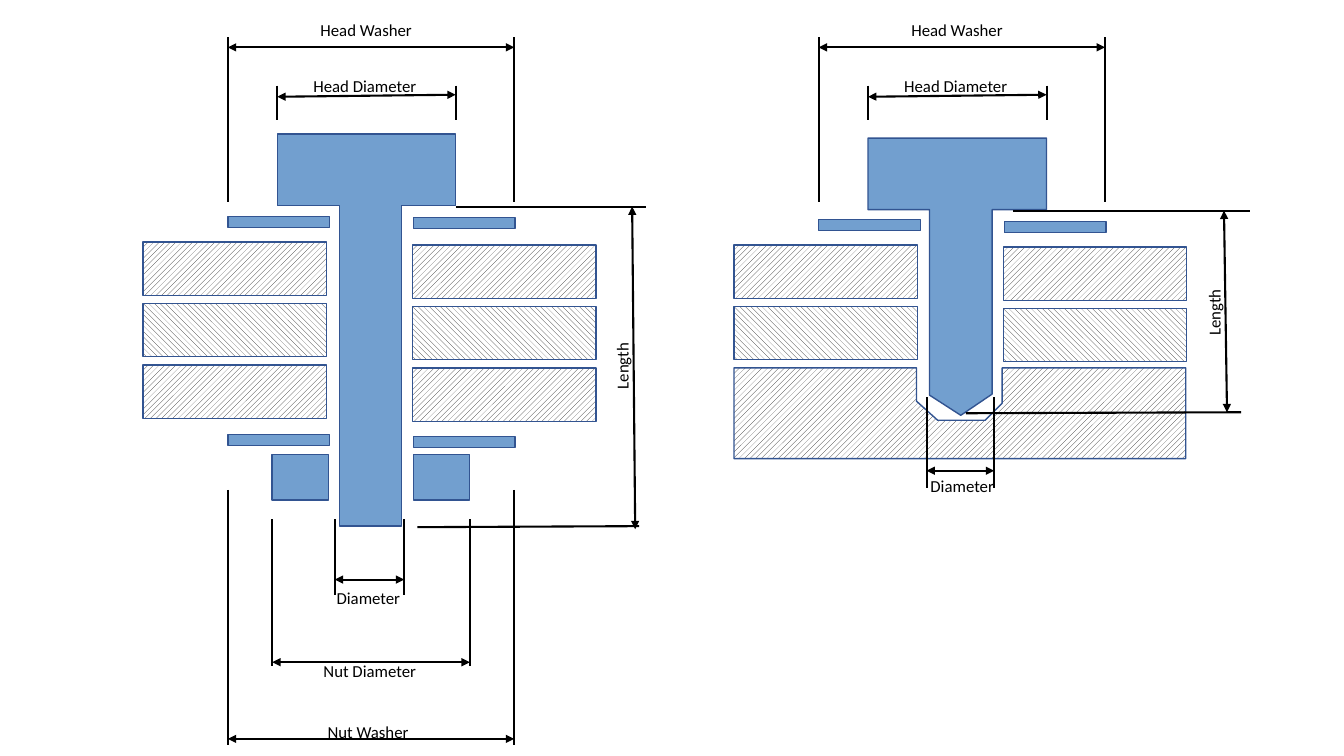
from lxml.etree import SubElement
from pptx import Presentation
from pptx.dml.color import RGBColor
from pptx.enum.dml import MSO_PATTERN
from pptx.enum.shapes import MSO_CONNECTOR, MSO_SHAPE
from pptx.enum.text import MSO_AUTO_SIZE
from pptx.oxml.ns import qn
from pptx.util import Inches, Pt

COLORS = {"steel": "729FCF", "edge": "325491", "hatch": "262626",
          "paper": "FFFFFF", "ink": "000000"}
UP = MSO_PATTERN.WIDE_UPWARD_DIAGONAL
DOWN = MSO_PATTERN.WIDE_DOWNWARD_DIAGONAL
WASHER = (1.01, 0.11)
PLATE = (1.82, 0.53)
NUT = (0.56, 0.45)
STEP = 0.61
OUTER = (0.84, 3.68)
HEAD = (1.33, 3.1)


def color(name):
    return RGBColor.from_string(COLORS[name])


def paint(shape, hatch=None):
    shape.shadow.inherit = False
    if hatch is None:
        shape.fill.solid()
        shape.fill.fore_color.rgb = color("steel")
    else:
        shape.fill.patterned()
        shape.fill.pattern = hatch
        shape.fill.fore_color.rgb = color("hatch")
        shape.fill.back_color.rgb = color("paper")
    shape.line.color.rgb = color("edge")
    shape.line.width = Pt(1)


def block(group, left, x, y, size, hatch=None):
    width, height = size
    paint(group.shapes.add_shape(MSO_SHAPE.RECTANGLE, Inches(left + x), Inches(y),
                                 Inches(width), Inches(height)), hatch)


def outline(group, left, points, hatch=None):
    spots = [(Inches(left + x), Inches(y)) for x, y in points]
    pen = group.shapes.build_freeform(*spots[0], scale=1.0)
    pen.add_line_segments(spots[1:], close=True)
    paint(pen.convert_to_shape(), hatch)


def rule(group, left, x1, y1, x2, y2, arrows=False):
    line = group.shapes.add_connector(
        MSO_CONNECTOR.STRAIGHT, Inches(left + x1), Inches(y1), Inches(left + x2), Inches(y2))
    line.line.color.rgb = color("ink")
    line.line.width = Pt(1.5)
    props = line.element.spPr
    if arrows:
        for end in ("a:headEnd", "a:tailEnd"):
            SubElement(props.find(qn("a:ln")), qn(end), type="triangle")
    SubElement(props, qn("a:effectLst"))


def label(group, left, x, y, width, text, turn=0):
    box = group.shapes.add_textbox(Inches(left + x), Inches(y), Inches(width), Inches(0.3))
    box.rotation = turn
    frame = box.text_frame
    frame.word_wrap = False
    frame.auto_size = MSO_AUTO_SIZE.SHAPE_TO_FIT_TEXT
    run = frame.paragraphs[0].add_run()
    run.text = text
    run.font.name = "Calibri"
    run.font.size = Pt(12)
    run.font.color.rgb = color("ink")


def span(group, left, sides, top, low, bar, slope=0):
    start, stop = sides
    for x in sides:
        rule(group, left, x, top, x, low)
    rule(group, left, start, bar, stop, bar - slope, True)


def pair(group, left, spots, size, hatch=None):
    for x, y in spots:
        block(group, left, x, y, size, hatch)


def plates(group, left, tops, hatches):
    for row, hatch in enumerate(hatches):
        spots = [(x, y + row * STEP) for x, y in zip((0, 2.67), tops)]
        pair(group, left, spots, PLATE, hatch)


def header(group, left):
    span(group, left, OUTER, 0.37, 2, 0.47)
    span(group, left, HEAD, 0.85, 1.19, 0.96, 0.02)
    label(group, left, 1.66, 0.15, 1.12, "Head Washer")
    label(group, left, 1.59, 0.7, 1.24, "Head Diameter")


def through(slide, left):
    group = slide.shapes.add_group_shape()
    outline(group, left, [(1.33, 1.33), (3.1, 1.33), (3.1, 2.04), (2.56, 2.04),
                          (2.56, 5.22), (1.95, 5.22), (1.95, 2.04), (1.33, 2.04)])
    pair(group, left, [(0.84, 2.15), (2.68, 2.16)], WASHER)
    pair(group, left, [(0.84, 4.31), (2.68, 4.33)], WASHER)
    pair(group, left, [(1.28, 4.51), (2.68, 4.51)], NUT)
    plates(group, left, (2.4, 2.43), (UP, DOWN, UP))
    header(group, left)
    span(group, left, OUTER, 4.86, 7.39, 7.33)
    span(group, left, (1.28, 3.24), 5.15, 6.61, 6.57)
    span(group, left, (1.9, 2.59), 5.15, 5.9, 5.75)
    rule(group, left, 4.92, 5.22, 2.72, 5.23)
    rule(group, left, 3.1, 2.05, 4.99, 2.05)
    rule(group, left, 4.88, 5.25, 4.85, 2.05, True)
    label(group, left, 1.82, 5.78, 0.84, "Diameter")
    label(group, left, 1.73, 7.11, 1.05, "Nut Washer")
    label(group, left, 1.69, 6.51, 1.13, "Nut Diameter")
    label(group, left, 4.42, 3.48, 0.66, "Length", 270)


def blind(slide, left):
    group = slide.shapes.add_group_shape()
    plates(group, left, (2.43, 2.45), (UP, DOWN))
    outline(group, left, [(1.33, 1.37), (3.1, 1.37), (3.1, 2.08), (2.56, 2.08), (2.56, 3.91),
                          (2.25, 4.12), (1.94, 3.92), (1.94, 2.08), (1.33, 2.08)])
    outline(group, left, [(0, 3.65), (1.81, 3.65), (1.81, 3.98), (2.02, 4.17), (2.49, 4.17),
                          (2.66, 4), (2.66, 3.65), (4.48, 3.65), (4.48, 4.55), (0, 4.55)], UP)
    pair(group, left, [(0.84, 2.18), (2.68, 2.2)], WASHER)
    span(group, left, (1.91, 2.58), 3.94, 4.84, 4.67)
    rule(group, left, 4.89, 4.09, 4.86, 2.09, True)
    rule(group, left, 5.03, 4.09, 2.3, 4.1)
    rule(group, left, 2.77, 2.09, 5.12, 2.09)
    label(group, left, 1.85, 4.67, 0.84, "Diameter")
    label(group, left, 4.43, 2.95, 0.66, "Length", 270)
    header(group, left)


def main():
    deck = Presentation()
    deck.slide_width = Inches(13.33)
    deck.slide_height = Inches(7.5)
    slide = deck.slides.add_slide(deck.slide_layouts[6])
    through(slide, 1.42)
    blind(slide, 7.28)
    deck.save("out.pptx")


if __name__ == "__main__":
    main()
